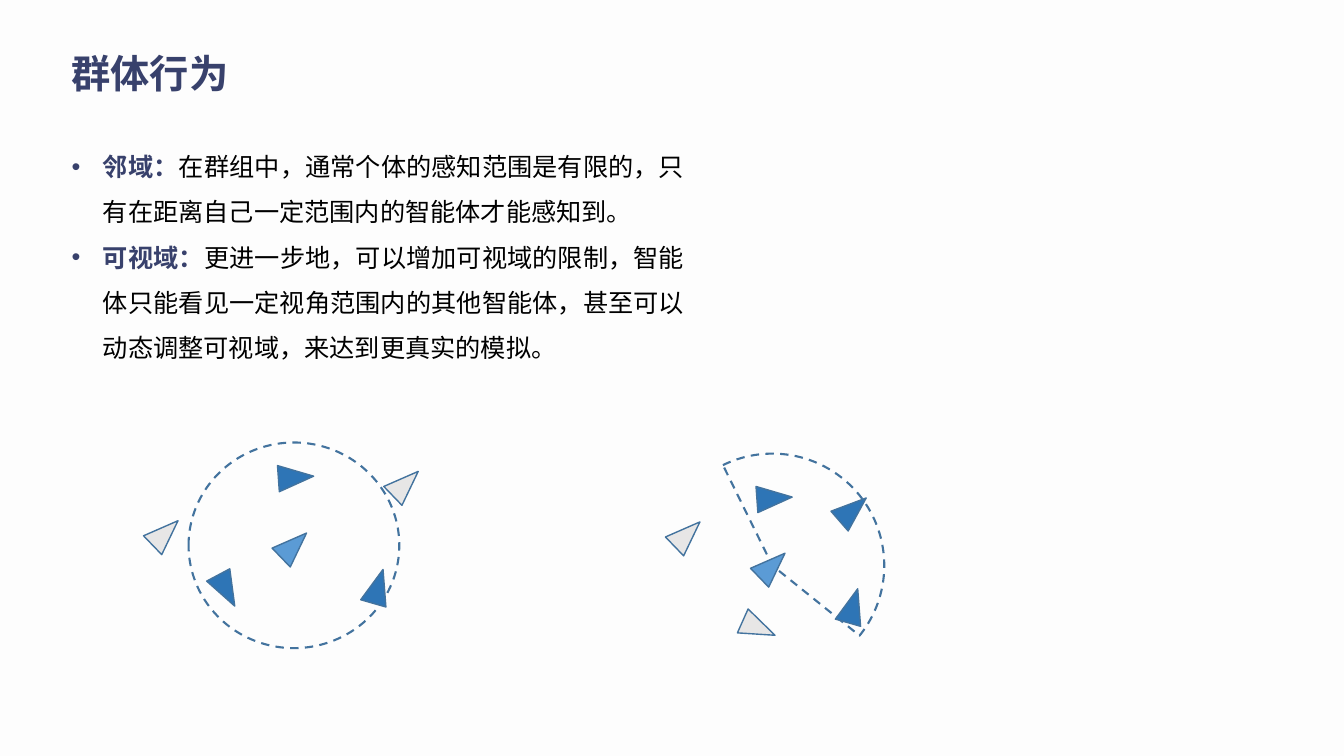
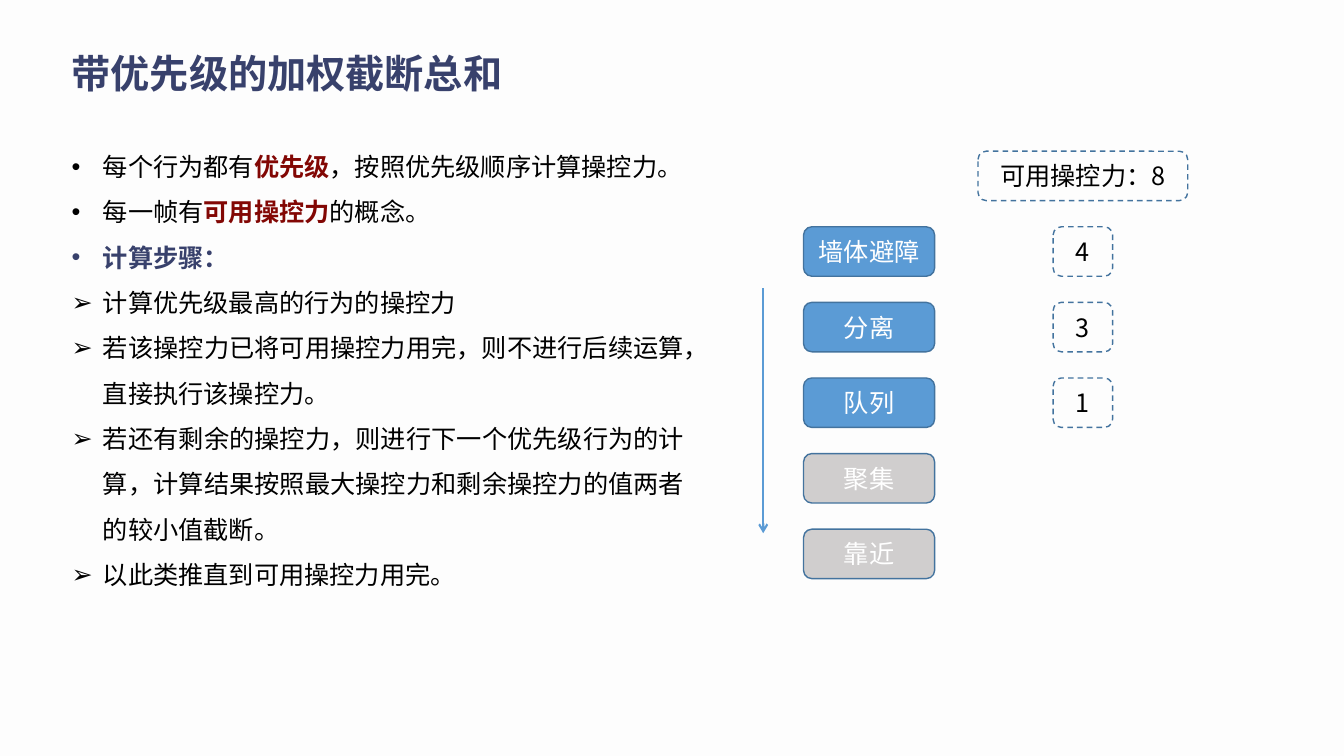
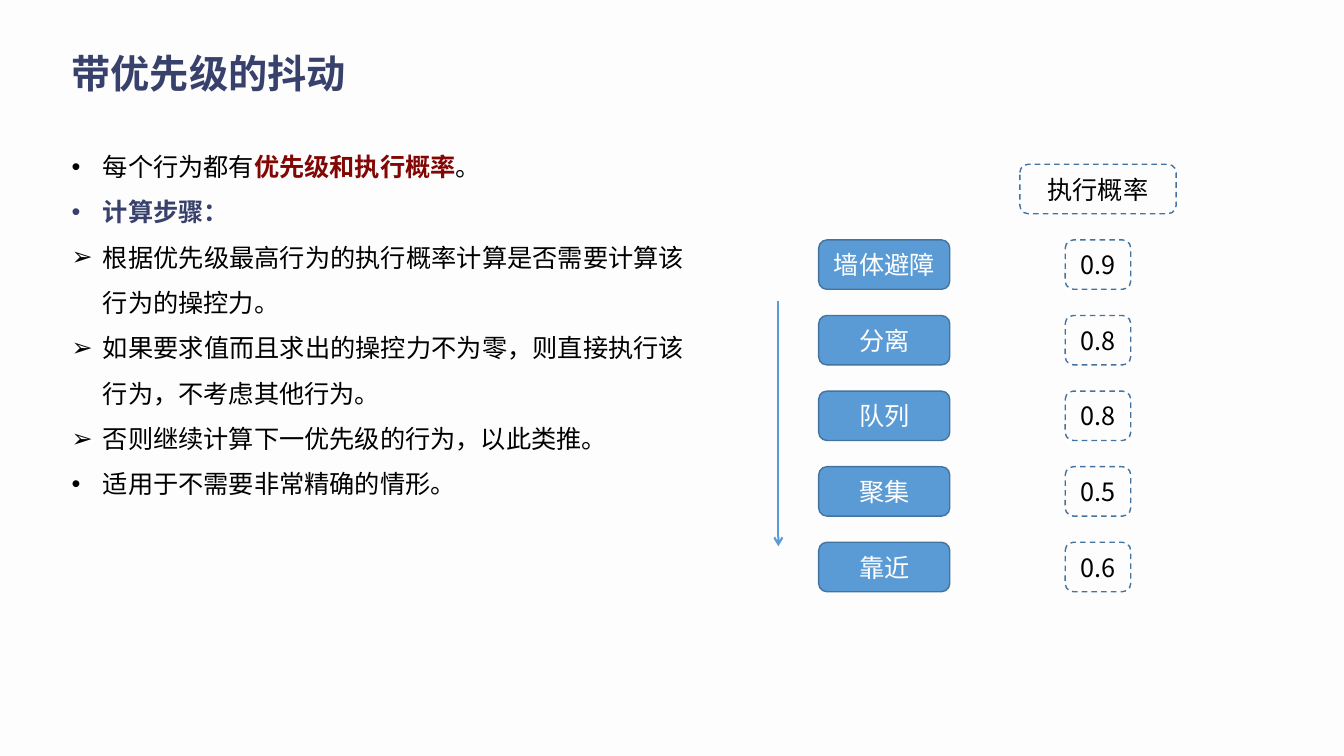
import dataclasses

import lxml.etree
import pptx
import pptx.dml.color
import pptx.enum.dml
import pptx.enum.shapes
import pptx.enum.text
import pptx.oxml.ns
import pptx.util

Inches = pptx.util.Inches
SHAPES = pptx.enum.shapes.MSO_SHAPE
ALIGN = pptx.enum.text.PP_ALIGN
ANCHOR = pptx.enum.text.MSO_ANCHOR


# Theme: colours, type sizes and the shared grid (inches)
@dataclasses.dataclass(frozen=True)
class Theme:
    font: str = "Noto Sans CJK SC"
    title_size: int = 28
    body_size: int = 18
    background: str = "FDFDFD"
    navy: str = "38416C"
    red: str = "820704"
    black: str = "000000"
    white: str = "FFFFFF"
    outline: str = "43739E"
    blue: str = "5B9BD5"
    deep_blue: str = "2E75B6"
    pale_grey: str = "E7E6E6"
    grey: str = "D0CECE"
    slide_width: float = 13.33
    slide_height: float = 7.5
    left: float = 0.61
    title_top: float = 0.44
    title_height: float = 0.57
    body_top: float = 1.3
    body_width: float = 6.28
    body_line: float = 0.45
    inset: float = 0.1
    indent: float = 0.31
    row_pitch: float = 0.75
    box_height: float = 0.49
    behavior_width: float = 1.3
    value_center: float = 2.77
    agent_width: float = 0.26
    agent_height: float = 0.35


THEME = Theme()
RUN_STYLES = {"plain": (THEME.black, False), "term": (THEME.navy, True),
              "stress": (THEME.red, True)}
BEHAVIORS = ("墙体避障", "分离", "队列", "聚集", "靠近")
DOT, ARROW = "•", "➢"


def color(code):
    return pptx.dml.color.RGBColor.from_string(code)


def add_element(parent, tag, **attributes):
    return lxml.etree.SubElement(parent, pptx.oxml.ns.qn(tag), attributes)


def format_run(run, size, code, bold=False):
    run.font.size = pptx.util.Pt(size)
    run.font.bold = bold
    run.font.color.rgb = color(code)
    run.font.name = THEME.font
    add_element(run.font._element, "a:ea", typeface=THEME.font)


def place(shape, left, top, width, height):
    shape.left, shape.top = Inches(left), Inches(top)
    shape.width, shape.height = Inches(width), Inches(height)


# Title and body placeholders
def set_title(slide, text):
    title = slide.shapes.title
    width = len(text) * THEME.title_size / 72 + 2 * THEME.inset
    place(title, THEME.left, THEME.title_top, width, THEME.title_height)
    frame = title.text_frame
    frame.text = text
    frame.word_wrap = False
    frame.auto_size = pptx.enum.text.MSO_AUTO_SIZE.SHAPE_TO_FIT_TEXT
    frame.vertical_anchor = ANCHOR.TOP
    frame.paragraphs[0].alignment = ALIGN.LEFT
    format_run(frame.paragraphs[0].runs[0], THEME.title_size, THEME.navy, True)


def add_bullet(paragraph, character):
    properties = paragraph._p.get_or_add_pPr()
    indent = Inches(THEME.indent)
    properties.set("marL", str(indent))
    properties.set("indent", str(-indent))
    add_element(properties, "a:buFont", typeface="Arial")
    add_element(properties, "a:buChar", char=character)


def set_body(slide, line_count, items):
    """Each item is a bullet character followed by (style, text) pairs."""
    body = slide.placeholders[1]
    place(body, THEME.left, THEME.body_top, THEME.body_width,
          line_count * THEME.body_line + THEME.inset)
    frame = body.text_frame
    frame.word_wrap = True
    frame.auto_size = pptx.enum.text.MSO_AUTO_SIZE.SHAPE_TO_FIT_TEXT
    for index, (bullet, *pieces) in enumerate(items):
        paragraph = frame.add_paragraph() if index else frame.paragraphs[0]
        add_bullet(paragraph, bullet)
        paragraph.alignment = ALIGN.JUSTIFY
        paragraph.line_spacing = 1.5
        paragraph.space_before = pptx.util.Pt(0)
        for style, text in pieces:
            run = paragraph.add_run()
            run.text = text
            format_run(run, THEME.body_size, *RUN_STYLES[style])


# Drawing elements
def add_outlined(slide, kind, left, top, width, height, fill=None, weight=1):
    """Add a shape; without a fill its outline is dashed."""
    shape = slide.shapes.add_shape(
        kind, *(Inches(length) for length in (left, top, width, height)))
    shape.shadow.inherit = False
    shape.line.color.rgb = color(THEME.outline)
    shape.line.width = pptx.util.Pt(weight)
    if fill:
        shape.fill.solid()
        shape.fill.fore_color.rgb = color(fill)
    else:
        shape.fill.background()
        shape.line.dash_style = pptx.enum.dml.MSO_LINE.DASH
    return shape


def add_label_box(slide, text, left, top, width, fill=None):
    box = add_outlined(slide, SHAPES.ROUNDED_RECTANGLE, left, top, width,
                       THEME.box_height, fill)
    frame = box.text_frame
    frame.text = text
    frame.vertical_anchor = ANCHOR.MIDDLE
    frame.paragraphs[0].alignment = ALIGN.CENTER
    format_run(frame.paragraphs[0].runs[0], THEME.body_size,
               THEME.white if fill else THEME.black)


def add_arrow(slide, x, top, bottom):
    arrow = slide.shapes.add_connector(
        pptx.enum.shapes.MSO_CONNECTOR.STRAIGHT,
        Inches(x), Inches(top), Inches(x), Inches(bottom))
    arrow.line.color.rgb = color(THEME.blue)
    arrow.line.width = pptx.util.Pt(1.5)
    add_element(arrow.line._get_or_add_ln(), "a:tailEnd", type="arrow")
    add_element(arrow._element.spPr, "a:effectLst")


def add_perception(slide, kind, area, agents):
    """Add a range and its agents, centred at shares of the range's size."""
    left, top, width, height = area
    region = add_outlined(slide, kind, *area, weight=1.5)
    for across, down, rotation, fill in agents:
        agent = add_outlined(
            slide, SHAPES.ISOSCELES_TRIANGLE,
            left + across * width - THEME.agent_width / 2,
            top + down * height - THEME.agent_height / 2,
            THEME.agent_width, THEME.agent_height, fill)
        agent.rotation = rotation
    return region


def add_priority_table(slide, left, top, header, header_width, values,
                       value_width, active_count):
    """Add the behaviours by priority, with a column of values beside them."""
    center = left + THEME.value_center
    row_tops = [top + THEME.row_pitch * (row + 1) for row in range(len(BEHAVIORS))]
    for row, (behavior, row_top) in enumerate(zip(BEHAVIORS, row_tops)):
        fill = THEME.blue if row < active_count else THEME.grey
        add_label_box(slide, behavior, left, row_top, THEME.behavior_width, fill)
    add_arrow(slide, left - 0.4, row_tops[0] + 0.61, row_tops[-1] + 0.04)
    add_label_box(slide, header, center - header_width / 2, top, header_width)
    for value, row_top in zip(values, row_tops):
        add_label_box(slide, value, center - value_width / 2, row_top, value_width)


# Slides
def build_group_behavior(slide):
    set_title(slide, "群体行为")
    set_body(slide, 5, [
        (DOT, ("term", "邻域："),
         ("plain", "在群组中，通常个体的感知范围是有限的，只有在距离自己一定范围内的智能体才能感知到。")),
        (DOT, ("term", "可视域："),
         ("plain", "更进一步地，可以增加可视域的限制，智能体只能看见一定视角范围内的其他智能体，"
                   "甚至可以动态调整可视域，来达到更真实的模拟。")),
    ])
    observer, seen, unseen = THEME.blue, THEME.deep_blue, THEME.pale_grey
    add_perception(slide, SHAPES.OVAL, (1.87, 4.39, 2.09, 2.04), [
        (0.5, 0.5, 46, observer),
        (0.51, 0.17, 86, seen),
        (0.9, 0.7, 16, seen),
        (0.18, 0.72, 152, seen),
        (1.03, 0.2, 46, unseen),
        (-0.11, 0.44, 46, unseen),
    ])
    view = add_perception(slide, SHAPES.PIE, (6.55, 4.5, 2.22, 2.22), [
        (0.5, 0.5, 46, observer),
        (0.51, 0.2, 86, seen),
        (0.86, 0.68, 16, seen),
        (0.86, 0.25, 49, seen),
        (0.44, 0.78, 114, unseen),
        (0.12, 0.36, 46, unseen),
    ])
    view.rotation = 139
    # One adjustment unit is 100000/60000 of a degree: about 105 to 260 degrees
    view.adjustments[0] = 62.88
    view.adjustments[1] = 155.89


def build_truncated_sum(slide):
    set_title(slide, "带优先级的加权截断总和")
    set_body(slide, 10, [
        (DOT, ("plain", "每个行为都有"), ("stress", "优先级"),
         ("plain", "，按照优先级顺序计算操控力。")),
        (DOT, ("plain", "每一帧有"), ("stress", "可用操控力"), ("plain", "的概念。")),
        (DOT, ("term", "计算步骤：")),
        (ARROW, ("plain", "计算优先级最高的行为的操控力")),
        (ARROW, ("plain", "若该操控力已将可用操控力用完，则不进行后续运算，直接执行该操控力。")),
        (ARROW, ("plain", "若还有剩余的操控力，则进行下一个优先级行为的计算，"
                          "计算结果按照最大操控力和剩余操控力的值两者的较小值截断。")),
        (ARROW, ("plain", "以此类推直到可用操控力用完。")),
    ])
    add_priority_table(slide, 7.97, 1.5, "可用操控力：8", 2.08,
                       ("4", "3", "1"), 0.59, active_count=3)


def build_dithering(slide):
    set_title(slide, "带优先级的抖动")
    set_body(slide, 8, [
        (DOT, ("plain", "每个行为都有"), ("stress", "优先级和执行概率"), ("plain", "。")),
        (DOT, ("term", "计算步骤：")),
        (ARROW, ("plain", "根据优先级最高行为的执行概率计算是否需要计算该行为的操控力。")),
        (ARROW, ("plain", "如果要求值而且求出的操控力不为零，则直接执行该行为，不考虑其他行为。")),
        (ARROW, ("plain", "否则继续计算下一优先级的行为，以此类推。")),
        (DOT, ("plain", "适用于不需要非常精确的情形。")),
    ])
    add_priority_table(slide, 8.12, 1.63, "执行概率", 1.55,
                       ("0.9", "0.8", "0.8", "0.5", "0.6"), 0.65,
                       active_count=len(BEHAVIORS))


def main():
    presentation = pptx.Presentation()
    presentation.slide_width = Inches(THEME.slide_width)
    presentation.slide_height = Inches(THEME.slide_height)
    background = presentation.slide_master.background.fill
    background.solid()
    background.fore_color.rgb = color(THEME.background)
    layout = presentation.slide_layouts[1]
    for build in (build_group_behavior, build_truncated_sum, build_dithering):
        build(presentation.slides.add_slide(layout))
    presentation.save("out.pptx")


if __name__ == "__main__":
    main()
